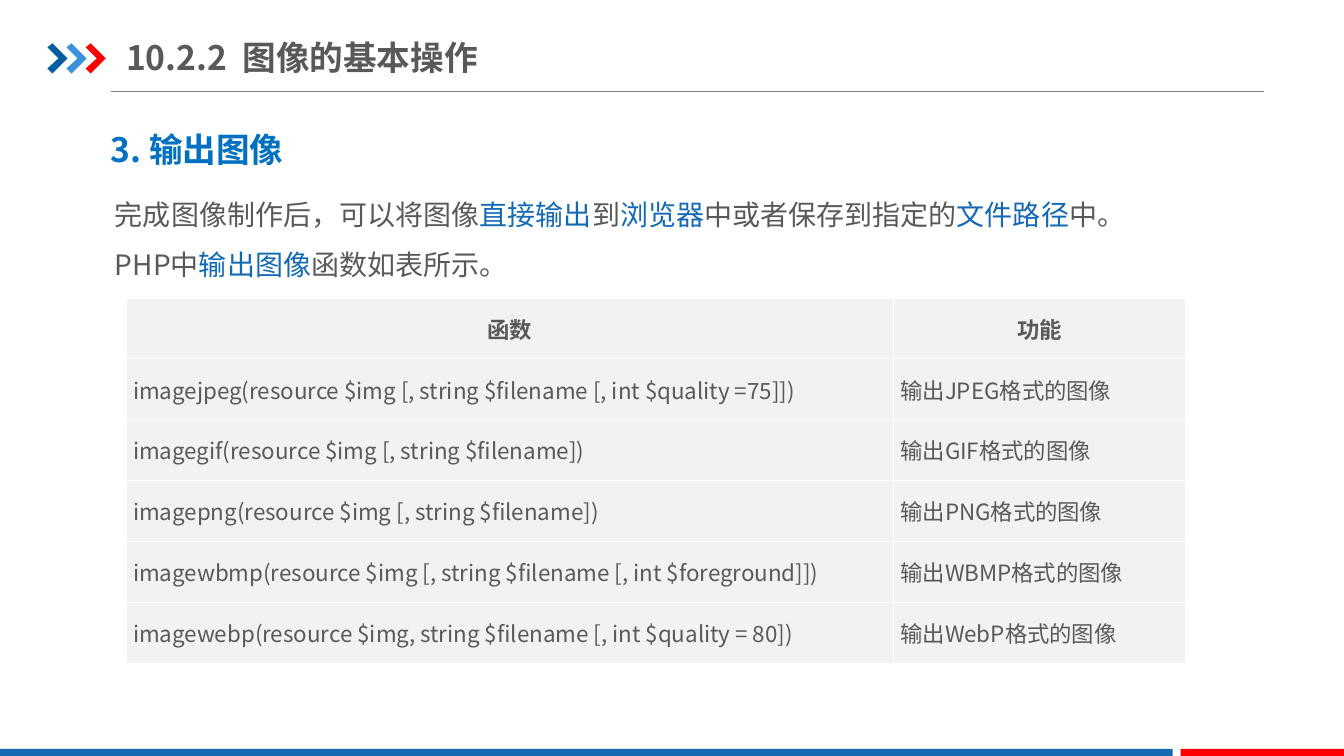
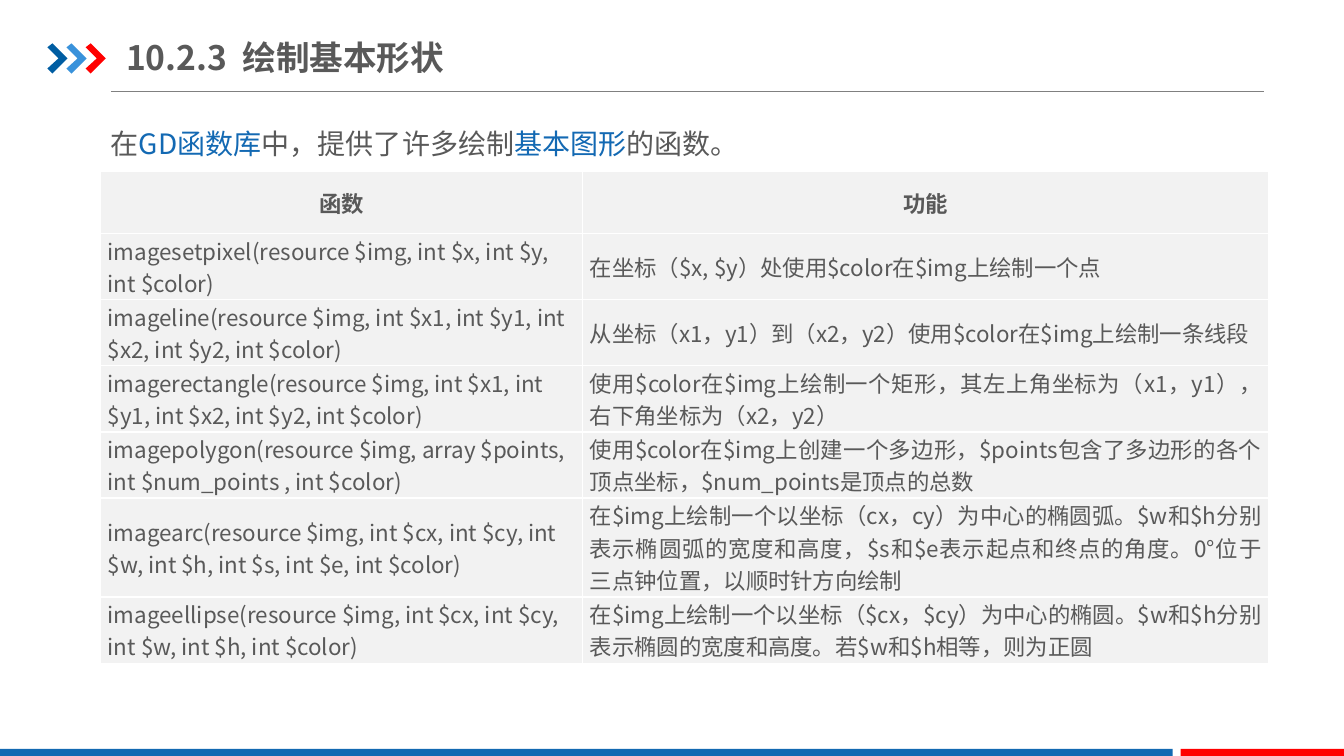
from lxml import etree
from pptx import Presentation
from pptx.dml.color import RGBColor
from pptx.enum.shapes import MSO_CONNECTOR, MSO_SHAPE
from pptx.enum.text import MSO_ANCHOR, MSO_AUTO_SIZE, PP_ALIGN
from pptx.oxml.ns import qn
from pptx.util import Inches, Pt

LEFT, CENTER, JUSTIFY = PP_ALIGN.LEFT, PP_ALIGN.CENTER, PP_ALIGN.JUSTIFY
MIDDLE, TOP = MSO_ANCHOR.MIDDLE, MSO_ANCHOR.TOP

FONT = "Noto Sans CJK SC"
COLORS = {
    "text": "595959", "highlight": "1369B3", "heading": "0070C0",
    "rule": "808080", "cell": "F2F2F2", "border": "FFFFFF",
    "navy": "005DA2", "sky": "3992DB", "red": "FF0000", "bar": "1369B2",
}

# Content: text between bars is highlighted; "lines" is the text lines per row
TABLE_HEADER = ("函数", "功能")
SLIDES = [
    {
        "title": "10.2.2  图像的基本操作",
        "heading": "3. 输出图像",
        "intro": [
            "完成图像制作后，可以将图像|直接输出|到|浏览器|中或者保存到指定的|文件路径|中。",
            "PHP中|输出图像|函数如表所示。",
        ],
        "intro_box": (1.04, 1.74, 11.26, 1.11),
        "table_at": (1.25, 2.96), "table_height": 3.62, "header_height": 0.6,
        "columns": (7.61, 2.9), "lines": (1, 1, 1, 1, 1),
        "rows": [
            ("imagejpeg(resource $img [, string $filename [, int $quality =75]])",
             "输出JPEG格式的图像"),
            ("imagegif(resource $img [, string $filename])", "输出GIF格式的图像"),
            ("imagepng(resource $img [, string $filename])", "输出PNG格式的图像"),
            ("imagewbmp(resource $img [, string $filename [, int $foreground]])",
             "输出WBMP格式的图像"),
            ("imagewebp(resource $img, string $filename [, int $quality = 80])",
             "输出WebP格式的图像"),
        ],
    },
    {
        "title": "10.2.3  绘制基本形状",
        "heading": None,
        "intro": ["在|GD函数库|中，提供了许多绘制|基本图形|的函数。"],
        "intro_box": (1, 1.04, 8.27, 0.55),
        "table_at": (1, 1.7), "table_height": 4.88, "header_height": 0.62,
        "columns": (4.78, 6.8), "lines": (2, 2, 2, 2, 3, 2),
        "rows": [
            ("imagesetpixel(resource $img, int $x, int $y, int $color)",
             "在坐标（$x, $y）处使用$color在$img上绘制一个点"),
            ("imageline(resource $img, int $x1, int $y1, int $x2, int $y2, int $color)",
             "从坐标（x1，y1）到（x2，y2）使用$color在$img上绘制一条线段"),
            ("imagerectangle(resource $img, int $x1, int $y1, int $x2, int $y2, int $color)",
             "使用$color在$img上绘制一个矩形，其左上角坐标为（x1，y1），右下角坐标为（x2，y2）"),
            ("imagepolygon(resource $img, array $points, int $num_points , int $color)",
             "使用$color在$img上创建一个多边形，$points包含了多边形的各个顶点坐标，"
             "$num_points是顶点的总数"),
            ("imagearc(resource $img, int $cx, int $cy, int $w, int $h, int $s, int $e, int $color)",
             "在$img上绘制一个以坐标（cx，cy）为中心的椭圆弧。$w和$h分别表示椭圆弧的宽度和高度，"
             "$s和$e表示起点和终点的角度。0°位于三点钟位置，以顺时针方向绘制"),
            ("imageellipse(resource $img, int $cx, int $cy, int $w, int $h, int $color)",
             "在$img上绘制一个以坐标（$cx，$cy）为中心的椭圆。$w和$h分别表示椭圆的宽度和高度。"
             "若$w和$h相等，则为正圆"),
        ],
    },
]

# Shared decoration
SLIDE_WIDTH, SLIDE_HEIGHT = 13.33, 7.5
CHEVRON_COLORS = ("navy", "sky", "red")
CHEVRON_LEFT, CHEVRON_TOP, CHEVRON_STEP = 0.47, 0.43, 0.19
CHEVRON_POINTS = [(0, 0.04), (0.05, 0), (0.2, 0.15), (0.05, 0.3), (0, 0.25), (0.11, 0.15)]
BAR_TOP = 7.43
BARS = [(0, 11.63, "bar"), (11.71, SLIDE_WIDTH, "red")]


def rgb(name):
    return RGBColor.from_string(COLORS[name])


def style_run(run, size, color="text", bold=False):
    font = run.font
    font.size, font.bold, font.name = Pt(size), bold, FONT
    font.color.rgb = rgb(color)
    etree.SubElement(run._r.get_or_add_rPr(), qn("a:ea")).set("typeface", FONT)


def place(shape, left, top, width, height):
    shape.left, shape.top = Inches(left), Inches(top)
    shape.width, shape.height = Inches(width), Inches(height)


def paint(shape, color):
    shape.shadow.inherit = False
    shape.fill.solid()
    shape.fill.fore_color.rgb = rgb(color)
    shape.line.fill.background()


def add_frame(slide):
    """Title rule, chevrons and footer bars."""
    rule = slide.shapes.add_connector(
        MSO_CONNECTOR.STRAIGHT, Inches(1.1), Inches(0.91), Inches(12.54), Inches(0.91))
    rule.line.color.rgb = rgb("rule")
    rule.line.width = Pt(0.75)
    etree.SubElement(rule._element.spPr, qn("a:effectLst"))

    for index, color in enumerate(CHEVRON_COLORS):
        left = CHEVRON_LEFT + index * CHEVRON_STEP
        points = [(Inches(left + x), Inches(CHEVRON_TOP + y)) for x, y in CHEVRON_POINTS]
        builder = slide.shapes.build_freeform(*points[0])
        builder.add_line_segments(points[1:], close=True)
        paint(builder.convert_to_shape(), color)

    for left, right, color in BARS:
        bar = slide.shapes.add_shape(
            MSO_SHAPE.RECTANGLE, Inches(left), Inches(BAR_TOP),
            Inches(right - left), Inches(SLIDE_HEIGHT - BAR_TOP))
        paint(bar, color)


def set_title(slide, text):
    title = slide.shapes.title
    place(title, 1.25, 0.29, 11.29, 0.55)
    frame = title.text_frame
    frame.text = text
    frame.auto_size = MSO_AUTO_SIZE.NONE
    frame.vertical_anchor = MIDDLE
    frame.margin_left = frame.margin_right = 0
    frame.paragraphs[0].alignment = LEFT
    style_run(frame.paragraphs[0].runs[0], 24, bold=True)


def add_heading(slide, text):
    box = slide.shapes.add_textbox(Inches(1), Inches(1.23), Inches(4.38), Inches(0.5))
    frame = box.text_frame
    frame.word_wrap = True
    frame.text = text
    style_run(frame.paragraphs[0].runs[0], 24, "heading", True)


def set_intro(slide, paragraphs, box):
    body = slide.placeholders[1]
    place(body, *box)
    frame = body.text_frame
    frame.text = "\n".join(paragraphs)
    frame.auto_size = MSO_AUTO_SIZE.NONE
    frame.vertical_anchor = TOP
    for paragraph, text in zip(frame.paragraphs, paragraphs):
        properties = paragraph._p.get_or_add_pPr()
        properties.set("marL", "0")
        properties.set("indent", "0")
        etree.SubElement(properties, qn("a:buNone"))
        paragraph.line_spacing = 1.5
        paragraph.space_before = Pt(0)
        paragraph.clear()
        for index, part in enumerate(text.split("|")):
            run = paragraph.add_run()
            run.text = part
            style_run(run, 20, "highlight" if index % 2 else "text")


def add_borders(cell):
    properties = cell._tc.get_or_add_tcPr()
    for side in ("lnL", "lnR", "lnT", "lnB"):
        line = etree.SubElement(properties, qn(f"a:{side}"), w=str(Pt(1)))
        fill = etree.SubElement(line, qn("a:solidFill"))
        etree.SubElement(fill, qn("a:srgbClr"), val=COLORS["border"])


def fill_cell(cell, text, alignment, bold):
    add_borders(cell)
    cell.fill.solid()
    cell.fill.fore_color.rgb = rgb("cell")
    cell.vertical_anchor = MIDDLE
    cell.margin_left = cell.margin_right = Inches(0.07)
    cell.margin_top = cell.margin_bottom = 0
    cell.text_frame.text = text
    paragraph = cell.text_frame.paragraphs[0]
    paragraph.alignment = alignment
    style_run(paragraph.runs[0], 16, bold=bold)


def add_function_table(slide, content):
    rows = [TABLE_HEADER] + content["rows"]
    left, top = content["table_at"]
    columns, height = content["columns"], content["table_height"]
    table = slide.shapes.add_table(
        len(rows), len(columns), Inches(left), Inches(top),
        Inches(sum(columns)), Inches(height)).table
    table.horz_banding = False
    for column, width in zip(table.columns, columns):
        column.width = Inches(width)

    # The height below the header is shared out by number of text lines
    header_height, lines = content["header_height"], content["lines"]
    line_height = (height - header_height) / sum(lines)
    heights = [header_height] + [count * line_height for count in lines]
    for row_index, (texts, row_height) in enumerate(zip(rows, heights)):
        table.rows[row_index].height = Inches(row_height)
        is_header = row_index == 0
        alignments = (CENTER, CENTER) if is_header else (LEFT, JUSTIFY)
        for column_index, (text, alignment) in enumerate(zip(texts, alignments)):
            fill_cell(table.cell(row_index, column_index), text, alignment, is_header)


def main():
    presentation = Presentation()
    presentation.slide_width = Inches(SLIDE_WIDTH)
    presentation.slide_height = Inches(SLIDE_HEIGHT)
    layout = presentation.slide_layouts[1]
    for content in SLIDES:
        slide = presentation.slides.add_slide(layout)
        add_frame(slide)
        set_title(slide, content["title"])
        if content["heading"]:
            add_heading(slide, content["heading"])
        set_intro(slide, content["intro"], content["intro_box"])
        add_function_table(slide, content)
    presentation.save("out.pptx")


if __name__ == "__main__":
    main()
